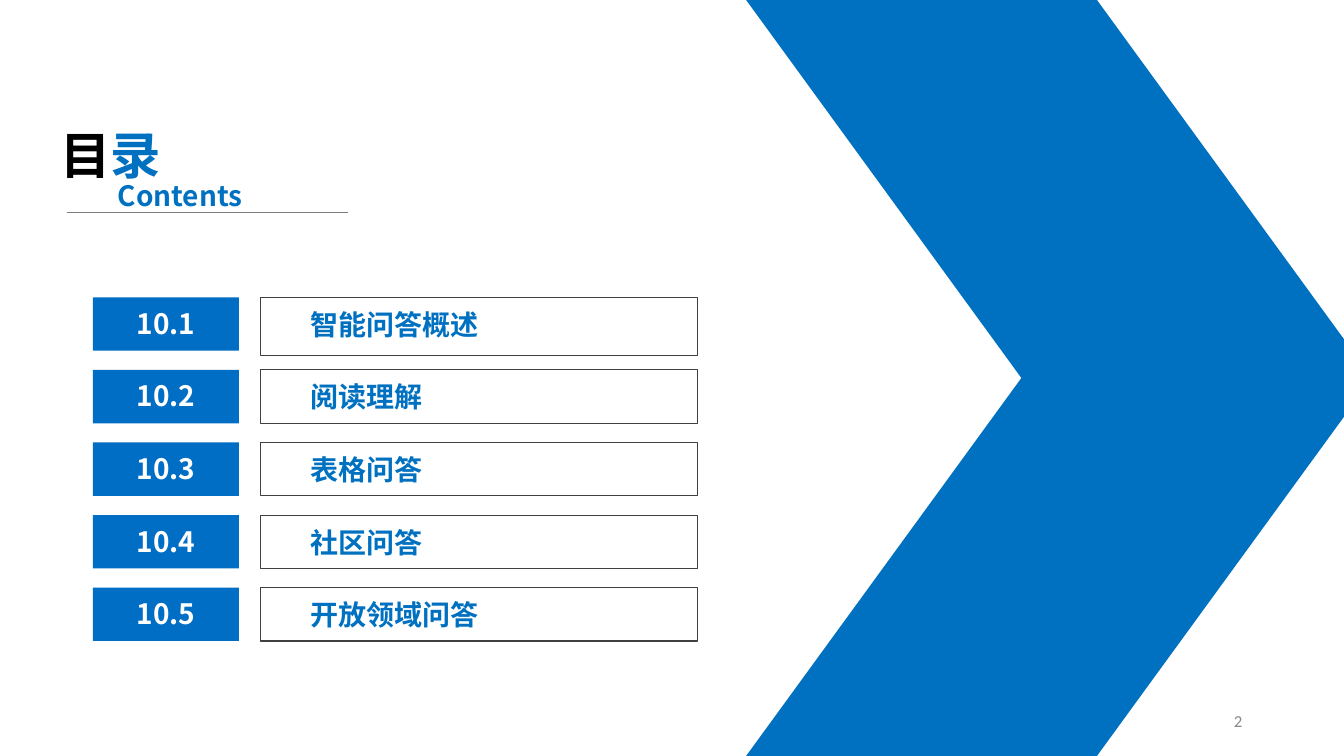
"""Build the contents slide of the question answering chapter."""
import lxml.etree
import pptx
import pptx.dml.color
import pptx.enum.shapes
import pptx.enum.text
import pptx.oxml.ns
import pptx.util

PX = 9144
COLORS = {
    "accent": "0070C0",
    "badge": "006EC5",
    "border": "404040",
    "rule": "7F7F7F",
    "number": "898989",
    "black": "000000",
    "white": "FFFFFF",
}
HEADING_FONT = "Noto Sans CJK SC"
SECTIONS = ["智能问答概述", "阅读理解", "表格问答", "社区问答", "开放领域问答"]
FIRST_ROW, ROW_STEP = 295, 72
SHAPES = pptx.enum.shapes.MSO_SHAPE
ALIGN = pptx.enum.text.PP_ALIGN
ANCHOR = pptx.enum.text.MSO_ANCHOR


def px(*lengths):
    """Turn pixel lengths into EMU."""
    return [pptx.util.Emu(length * PX) for length in lengths]


def rgb(name):
    """Look up a colour of the palette."""
    return pptx.dml.color.RGBColor.from_string(COLORS[name])


def write(frame, *runs, size=20, font=HEADING_FONT, bold=True,
          align=ALIGN.LEFT, anchor=ANCHOR.TOP):
    """Write (text, colour) runs as the one paragraph of a text frame."""
    frame.word_wrap = True
    frame.auto_size = pptx.enum.text.MSO_AUTO_SIZE.NONE
    frame.vertical_anchor = anchor
    paragraph = frame.paragraphs[0]
    paragraph.alignment = align
    for text, color in runs:
        run = paragraph.add_run()
        run.text = text
        run.font.size = pptx.util.Pt(size)
        run.font.bold = bold
        run.font.name = font
        run.font.color.rgb = rgb(color)
        east_asian = lxml.etree.SubElement(
            run.font._element, pptx.oxml.ns.qn("a:ea"))
        east_asian.set("typeface", font)


def add_label(slide, box, text, color, **style):
    """Add a text box holding a single run."""
    label = slide.shapes.add_textbox(*px(*box))
    write(label.text_frame, (text, color), **style)


def add_block(slide, preset, box, fill=None, border=None):
    """Add a preset shape with an optional fill and border."""
    block = slide.shapes.add_shape(preset, *px(*box))
    block.shadow.inherit = False
    if fill:
        block.fill.solid()
        block.fill.fore_color.rgb = rgb(fill)
    else:
        block.fill.background()
    if border:
        block.line.color.rgb = rgb(border)
        block.line.width = pptx.util.Pt(0.75)
    else:
        block.line.fill.background()
    return block


def add_chevron(slide):
    """Add the large arrow made of two mirrored parallelograms."""
    for top, flipped in ((375, "0"), (0, "1")):
        half = add_block(slide, SHAPES.PARALLELOGRAM, (740, top, 621, 375),
                         fill="accent")
        half.adjustments[0] = 0.728
        half._element.spPr.xfrm.set("flipV", flipped)


def add_heading(slide):
    """Fill the title and add its subtitle and rule."""
    title = slide.shapes.title
    title.left, title.top, title.width, title.height = px(50, 118, 157, 71)
    write(title.text_frame, ("目", "black"), ("录", "accent"), size=36)
    rule = slide.shapes.add_connector(
        pptx.enum.shapes.MSO_CONNECTOR.STRAIGHT, *px(66, 211, 345, 211))
    rule.line.color.rgb = rgb("rule")
    rule.line.width = pptx.util.Pt(0.5)
    lxml.etree.SubElement(rule._element.spPr, pptx.oxml.ns.qn("a:effectLst"))
    add_label(slide, (107, 172, 157, 44), "Contents", "accent")


def add_section(slide, index, name):
    """Add the number badge and framed name of one section."""
    top = FIRST_ROW + index * ROW_STEP
    frame_height = 58 if index == 0 else 53
    add_block(slide, SHAPES.RECTANGLE, (258, top, 434, frame_height),
              border="border")
    add_label(slide, (298, top + 5, 369, 44), name, "accent")
    add_block(slide, SHAPES.RECTANGLE, (92, top, 145, 53), fill="badge")
    add_label(slide, (112, top + 4, 105, 44), f"10.{index + 1}", "white",
              align=ALIGN.CENTER)


def main():
    """Build and save the slide."""
    deck = pptx.Presentation()
    deck.slide_width, deck.slide_height = px(1333, 750)
    slide = deck.slides.add_slide(deck.slide_layouts[5])
    add_chevron(slide)
    add_heading(slide)
    for index, name in enumerate(SECTIONS):
        add_section(slide, index, name)
    add_label(slide, (942, 695, 300, 40), "2", "number", size=12,
              font="Calibri", bold=False, align=ALIGN.RIGHT,
              anchor=ANCHOR.MIDDLE)
    deck.save("out.pptx")


if __name__ == "__main__":
    main()
